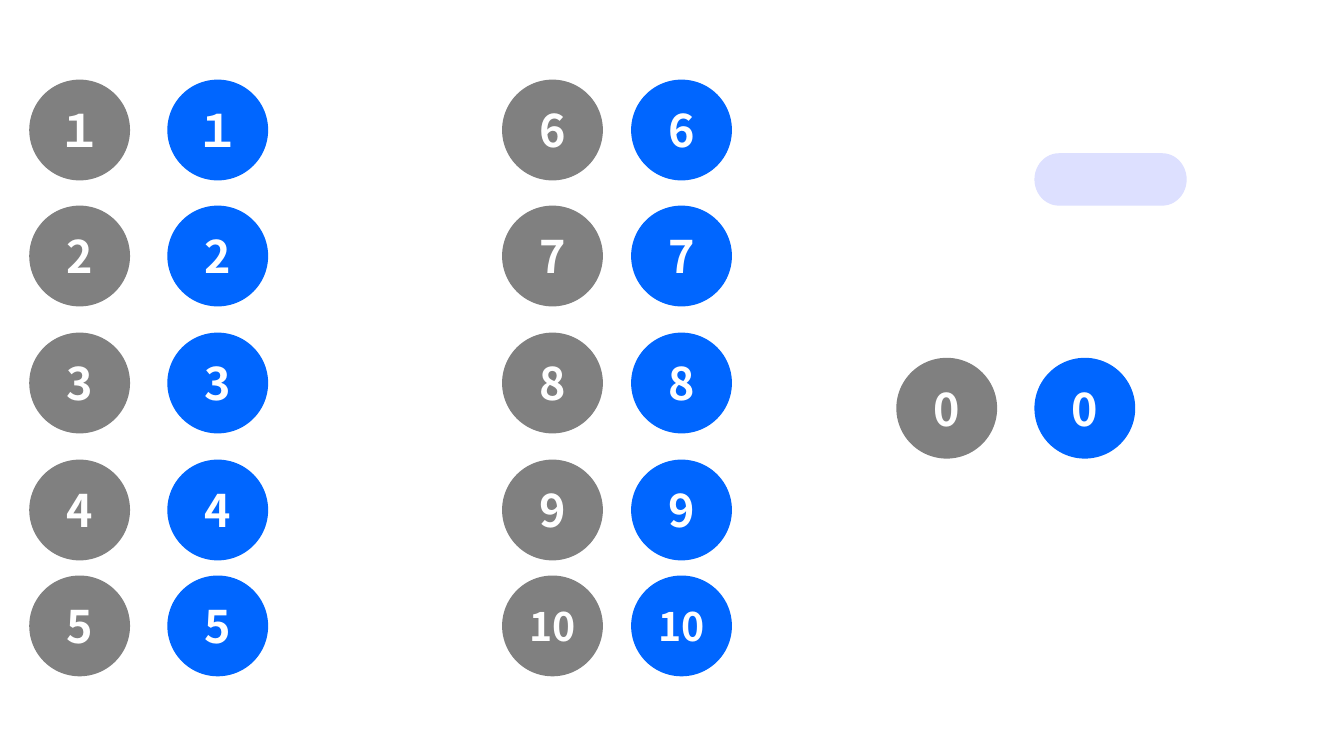
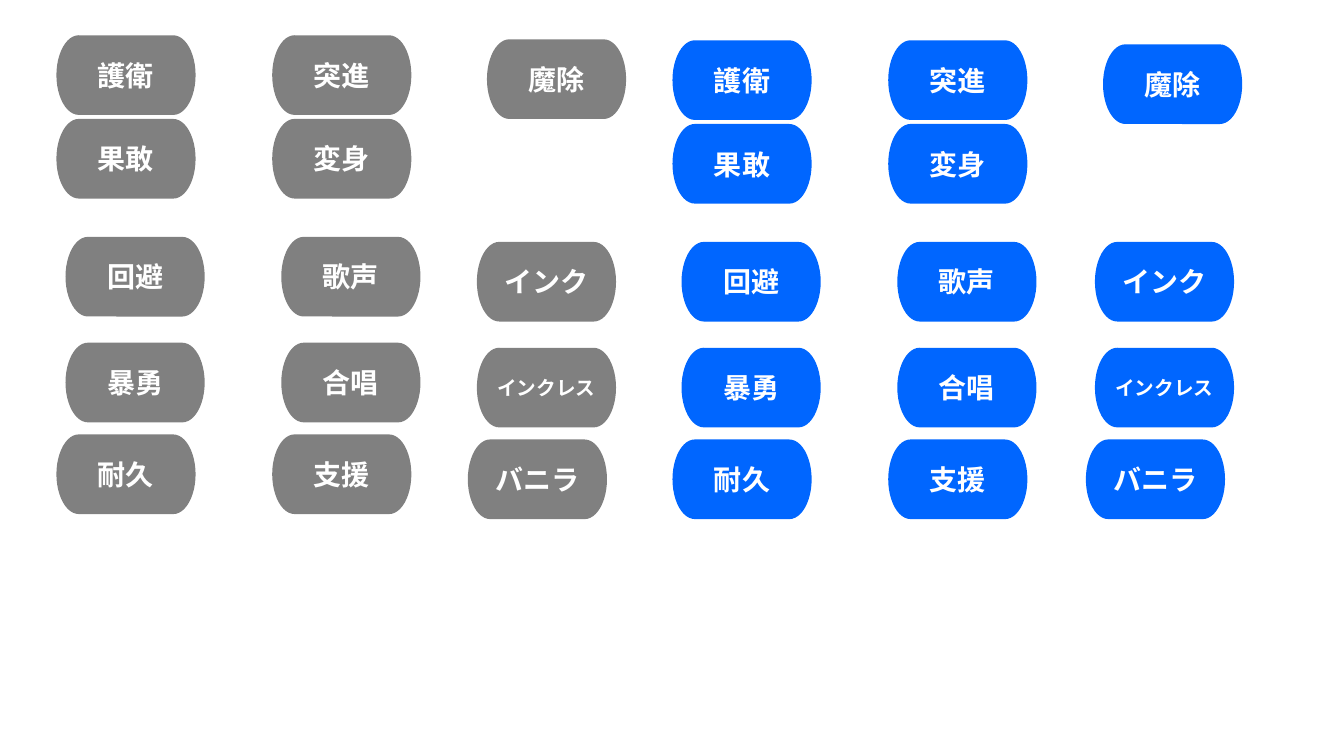
from lxml import etree
from pptx import Presentation
from pptx.dml.color import RGBColor
from pptx.enum import shapes, text
from pptx.oxml import ns
from pptx.util import Inches, Pt

GRAY = RGBColor(0x80, 0x80, 0x80)
BLUE = RGBColor(0x00, 0x66, 0xFF)
PALE = RGBColor(0xDD, 0xE0, 0xFF)
WHITE = RGBColor(0xFF, 0xFF, 0xFF)
FONT = "Noto Sans CJK JP"
OVAL = shapes.MSO_SHAPE.OVAL
PILL = shapes.MSO_SHAPE.FLOWCHART_TERMINATOR

DISC = 1
DISC_TOPS = [0.79, 2.04, 3.3, 4.56, 5.71]
PILL_SIZE = (1.38, 0.79)
PILL_TOPS = [0, 0.83, 2, 3.05, 3.96]
INDENTS = [0, 0, 0.09, 0.09, 0]

GUARD = ["護衛", "果敢", "回避", "暴勇", "耐久"]
RUSH = ["突進", "変身", "歌声", "合唱", "支援"]
INK = ["", "", "インク", "インクレス", "バニラ"]


def write(shape, words, size=20, color=WHITE, bold=True):
    """Put centred text into a shape."""
    frame = shape.text_frame
    frame.word_wrap = True
    frame.vertical_anchor = text.MSO_ANCHOR.MIDDLE
    para = frame.paragraphs[0]
    para.alignment = text.PP_ALIGN.CENTER
    run = para.add_run()
    run.text = words
    font = run.font
    font.name, font.size, font.bold = FONT, Pt(size), bold
    font.color.rgb = color
    east = etree.SubElement(run._r.get_or_add_rPr(), ns.qn("a:ea"))
    east.set("typeface", FONT)


def badge(slide, kind, box, fill, words="", **style):
    """Draw a plain filled shape, with a label if one is given."""
    shape = slide.shapes.add_shape(kind, *map(Inches, box))
    shape.shadow.inherit = False
    shape.fill.solid()
    shape.fill.fore_color.rgb = fill
    shape.line.fill.background()
    if words:
        write(shape, words, **style)


def pair(slide, left, top, gap, words):
    """Draw a blue disc and its gray twin to the left."""
    size = 28 if len(words) > 1 else 32
    for x, fill in ((left + gap, BLUE), (left, GRAY)):
        badge(slide, OVAL, (x, top, DISC, DISC), fill, words, size=size)


def column(slide, left, top, fill, labels):
    """Stack pills on the shared rows, skipping empty labels."""
    for words, y, indent in zip(labels, PILL_TOPS, INDENTS):
        if words:
            size = 14 if len(words) > 3 else 20
            box = (left + indent, top + y, *PILL_SIZE)
            badge(slide, PILL, box, fill, words, size=size)


def numbers(slide):
    """Build the slide of numbered discs."""
    for left, gap, labels in ((0.29, 1.37, ["１", "2", "3", "4", "5"]),
                              (4.98, 1.28, ["6", "7", "8", "9", "10"])):
        for top, words in zip(DISC_TOPS, labels):
            pair(slide, left, top, gap, words)
    badge(slide, PILL, (10.26, 1.52, 1.51, 0.52), PALE)
    pair(slide, 8.89, 3.55, 1.37, "0")


def skills(slide):
    """Build the slide of skill pills, gray then blue."""
    for left, top, ink, fill in ((0.56, 0.35, 4.64, GRAY),
                                 (6.67, 0.4, 10.77, BLUE)):
        column(slide, left, top, fill, GUARD)
        column(slide, left + 2.14, top, fill, RUSH)
        column(slide, left + 4.27, top + 0.04, fill, ["魔除"])
        column(slide, ink, 0.4, fill, INK)


def main():
    """Make and save the deck."""
    deck = Presentation()
    deck.slide_width, deck.slide_height = Inches(13.33), Inches(7.5)
    blank = deck.slide_layouts[6]
    for build in (numbers, skills):
        build(deck.slides.add_slide(blank))
    deck.save("out.pptx")


if __name__ == "__main__":
    main()
